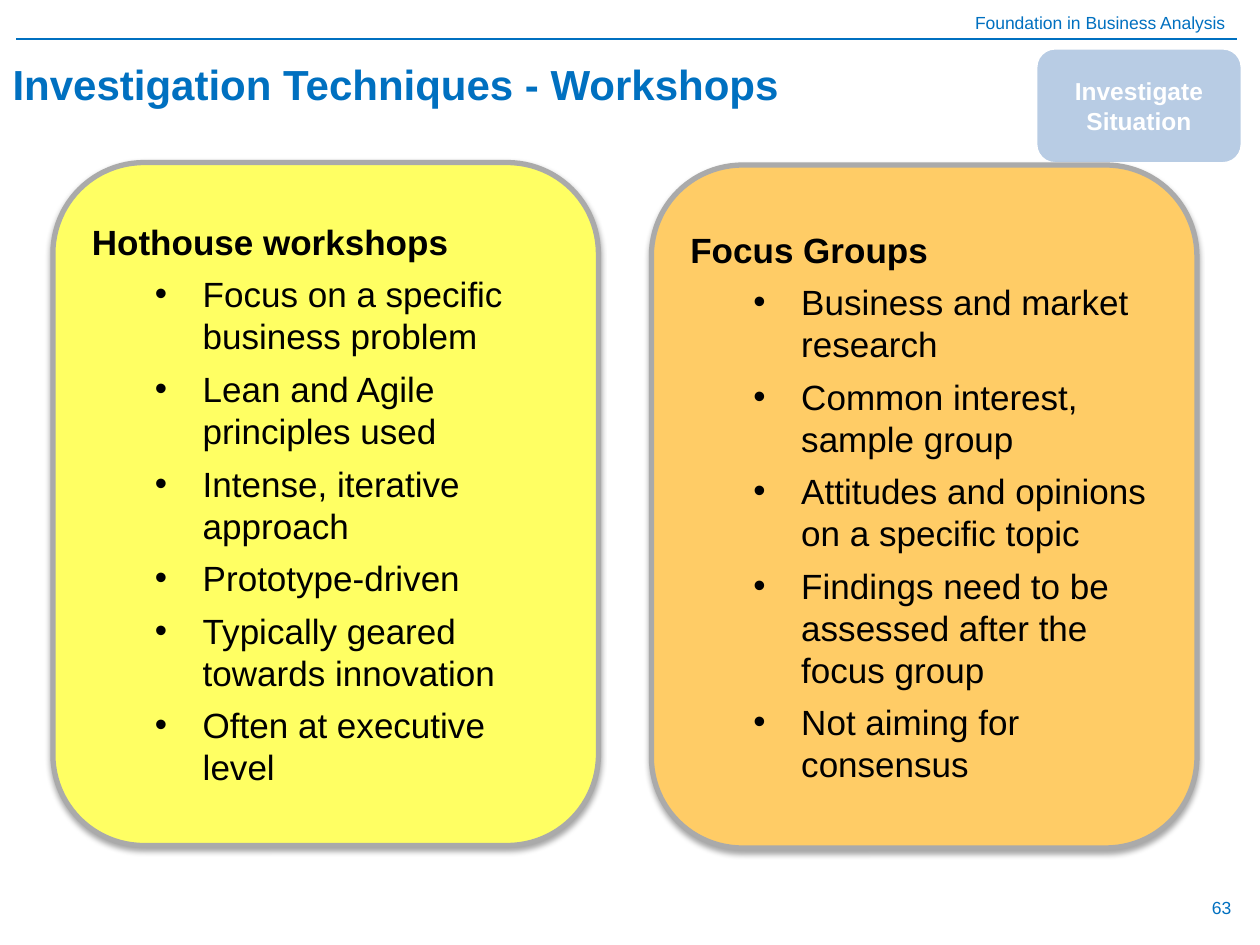
import pptx
import pptx.util
import pptx.dml.color
import pptx.enum.shapes
import pptx.enum.text
import pptx.oxml.ns
import lxml.etree

Inches = pptx.util.Inches
Pt = pptx.util.Pt
RGBColor = pptx.dml.color.RGBColor
Align = pptx.enum.text.PP_ALIGN
Anchor = pptx.enum.text.MSO_ANCHOR
Shape = pptx.enum.shapes.MSO_SHAPE
qn = pptx.oxml.ns.qn

BLUE = RGBColor(0x00, 0x70, 0xC0)
PALE_BLUE = RGBColor(0xB8, 0xCC, 0xE4)
YELLOW = RGBColor(0xFF, 0xFF, 0x63)
ORANGE = RGBColor(0xFF, 0xCC, 0x66)
GREY = RGBColor(0xAA, 0xAA, 0xAA)
WHITE = RGBColor(0xFF, 0xFF, 0xFF)
BLACK = RGBColor(0x00, 0x00, 0x00)

HOTHOUSE = [
    "Focus on a specific business problem",
    "Lean and Agile principles used",
    "Intense, iterative approach",
    "Prototype-driven",
    "Typically geared towards innovation",
    "Often at executive level",
]
FOCUS_GROUPS = [
    "Business and market research",
    "Common interest, sample group",
    "Attitudes and opinions on a specific topic",
    "Findings need to be assessed after the focus group",
    "Not aiming for consensus",
]


def add_span(para, text, size, color, bold=False):
    span = para.add_run()
    span.text = text
    span.font.name = "Arial"
    span.font.size = Pt(size)
    span.font.bold = bold
    span.font.color.rgb = color


def set_indent(para, left, first):
    properties = para._p.get_or_add_pPr()
    properties.set("marL", str(Inches(left)))
    properties.set("indent", str(Inches(first)))
    return properties


def add_small_text(page, left, top, width, height, text):
    box = page.shapes.add_textbox(Inches(left), Inches(top), Inches(width), Inches(height))
    frame = box.text_frame
    frame.word_wrap = True
    frame.vertical_anchor = Anchor.MIDDLE
    para = frame.paragraphs[0]
    para.alignment = Align.RIGHT
    add_span(para, text, 10, BLUE)


def add_header(page, left, top, width):
    add_small_text(page, 0, top - 0.27, left + width, 0.27, "Foundation in Business Analysis")
    rule = page.shapes.add_connector(
        pptx.enum.shapes.MSO_CONNECTOR.STRAIGHT,
        Inches(left), Inches(top), Inches(left + width), Inches(top))
    rule.line.color.rgb = BLUE
    rule.line.width = Pt(0.75)
    lxml.etree.SubElement(rule._element.spPr, qn("a:effectLst"))


def set_title(page, left, top, width, height):
    title = page.shapes.title
    title.left, title.top = Inches(left), Inches(top)
    title.width, title.height = Inches(width), Inches(height)
    frame = title.text_frame
    frame.vertical_anchor = Anchor.MIDDLE
    para = frame.paragraphs[0]
    para.alignment = Align.LEFT
    set_indent(para, 0.38, -0.38)
    add_span(para, "Investigation Techniques - Workshops", 24, BLUE, True)


def add_rounded_box(page, left, top, width, height, fill, line, line_width):
    box = page.shapes.add_shape(
        Shape.ROUNDED_RECTANGLE, Inches(left), Inches(top), Inches(width), Inches(height))
    box.shadow.inherit = False
    box.fill.solid()
    box.fill.fore_color.rgb = fill
    box.line.color.rgb = line
    box.line.width = Pt(line_width)
    box.text_frame.word_wrap = True
    box.text_frame.vertical_anchor = Anchor.MIDDLE
    return box


def add_stage_tile(page, left, top, width, height):
    tile = add_rounded_box(page, left, top, width, height, PALE_BLUE, WHITE, 2)
    para = tile.text_frame.paragraphs[0]
    para.alignment = Align.CENTER
    add_span(para, "Investigate Situation", 14, WHITE, True)


def add_soft_shadow(box):
    effects = box._element.spPr.find(qn("a:effectLst"))
    shadow = lxml.etree.SubElement(
        effects, qn("a:outerShdw"), blurRad=str(Pt(3.1)), dist=str(Pt(1.8)),
        dir="5400000", rotWithShape="0")
    color = lxml.etree.SubElement(shadow, qn("a:srgbClr"), val=str(BLACK))
    lxml.etree.SubElement(color, qn("a:alpha"), val="35000")


def add_panel(page, left, top, width, height, fill, heading, points):
    panel = add_rounded_box(page, left, top, width, height, fill, GREY, 3)
    add_soft_shadow(panel)
    frame = panel.text_frame
    para = frame.paragraphs[0]
    para.alignment = Align.LEFT
    para.space_after = Pt(6)
    add_span(para, heading, 20, BLACK, True)
    for point in points:
        para = frame.add_paragraph()
        para.level = 1
        para.alignment = Align.LEFT
        para.space_after = Pt(6)
        properties = set_indent(para, 0.88, -0.38)
        lxml.etree.SubElement(properties, qn("a:buFont"), typeface="Arial")
        lxml.etree.SubElement(properties, qn("a:buChar"), char="•")
        add_span(para, point, 20, BLACK)


def main():
    deck = pptx.Presentation()
    deck.slide_width = Inches(10)
    deck.slide_height = Inches(7.5)
    page = deck.slides.add_slide(deck.slide_layouts.get_by_name("Title Only"))
    add_header(page, 0.13, 0.31, 9.69)
    add_small_text(page, 7.54, 7, 2.33, 0.4, "63")
    set_title(page, 0, 0.39, 9.61, 0.55)
    add_stage_tile(page, 8.22, 0.38, 1.64, 0.92)
    add_panel(page, 0.42, 1.29, 4.33, 5.42, YELLOW, "Hothouse workshops", HOTHOUSE)
    add_panel(page, 5.17, 1.31, 4.33, 5.42, ORANGE, "Focus Groups", FOCUS_GROUPS)
    deck.save("out.pptx")


if __name__ == "__main__":
    main()
